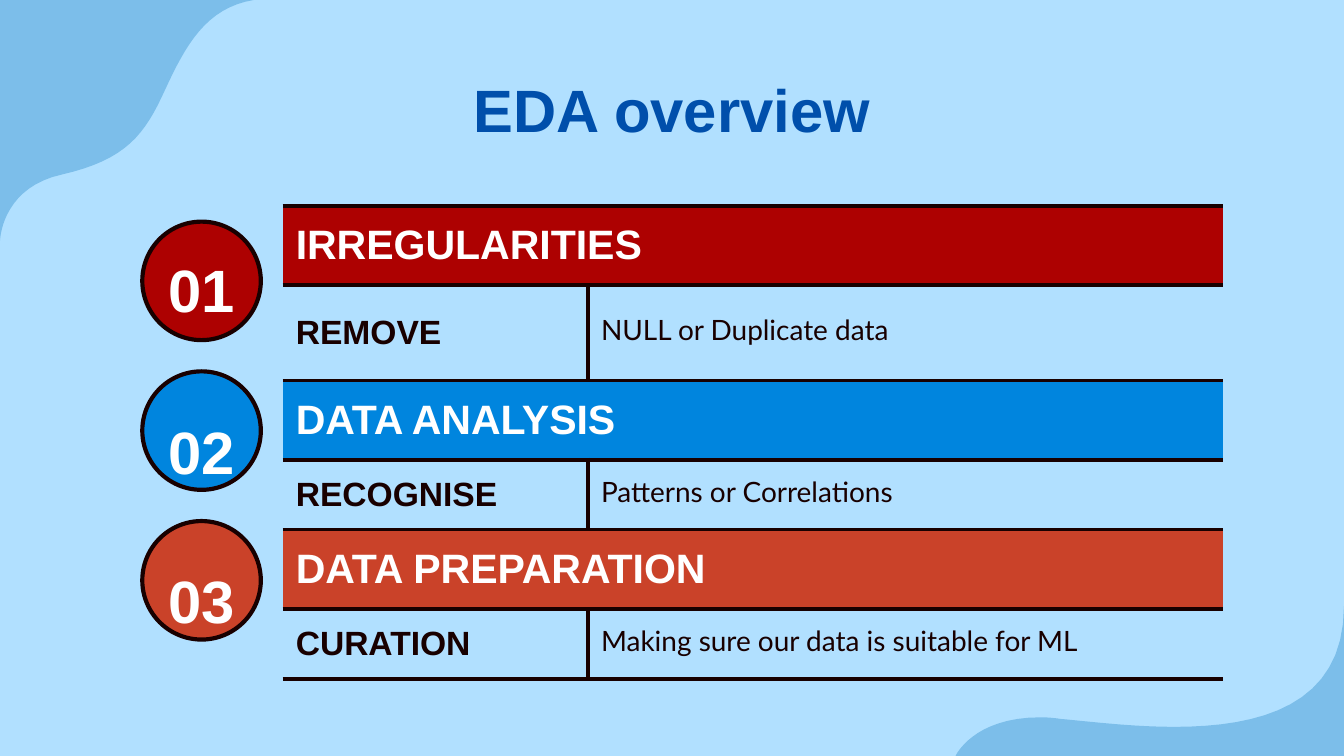
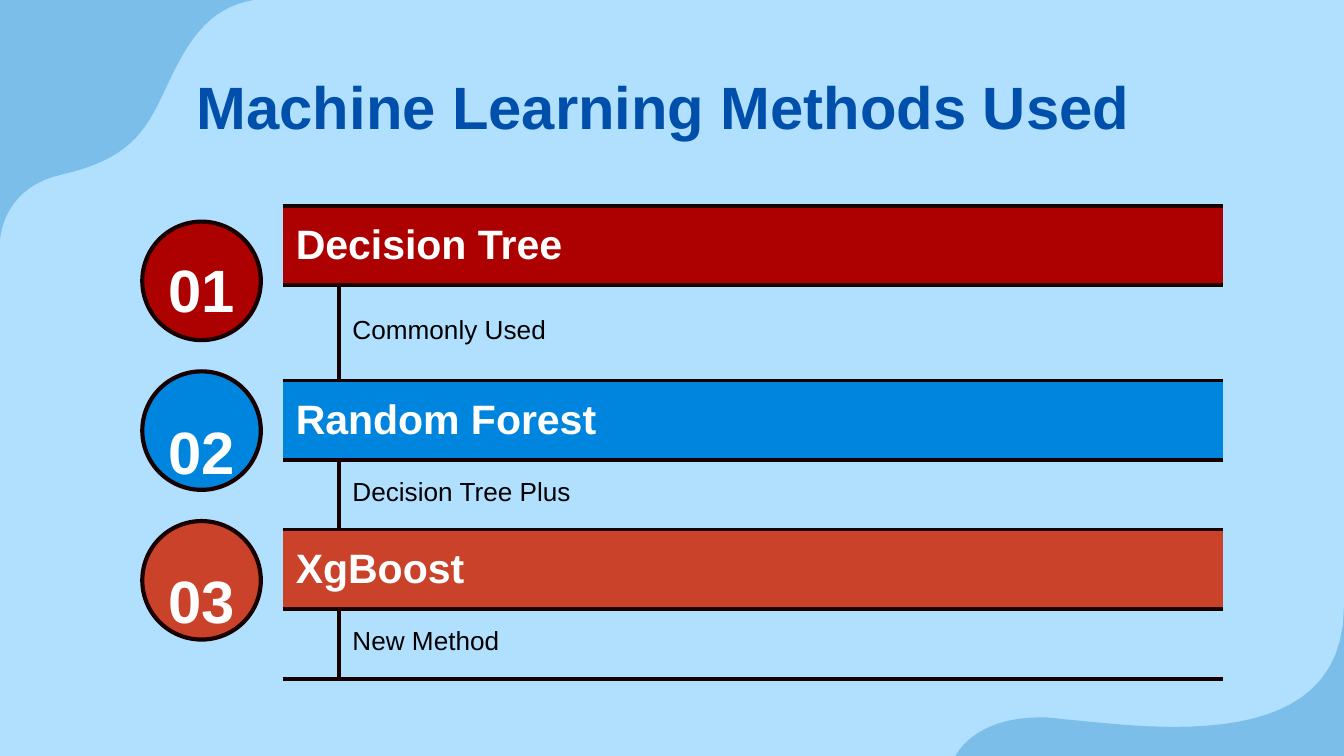
from lxml.etree import SubElement
from pptx import Presentation
from pptx.dml.color import RGBColor
from pptx.enum.shapes import MSO_SHAPE
from pptx.enum.text import MSO_ANCHOR, MSO_AUTO_SIZE, PP_ALIGN
from pptx.oxml.ns import qn
from pptx.util import Cm, Pt

HUES = {
    "sky": "B1E0FF",
    "wave": "7CBEEA",
    "title": "004FAB",
    "ink": "180000",
    "black": "000000",
    "white": "FFFFFF",
    "red": "AD0101",
    "blue": "0085DE",
    "rust": "CA4229",
}
BANDS = ["red", "blue", "rust"]
ROWS = [1.5, 1.8, 1.5, 1.32, 1.5, 1.32]
WIDTH, HEIGHT = 25.4, 14.29
EDGE = 2.25
NO_STYLE = "{2D5ABB26-0587-4C30-8999-92F81FD0307C}"

TOP_WAVE = [
    (0, 4.6),
    [(0, 4.37), (0.13, 3.53), (1.17, 3.3)],
    [(2.39, 3.02), (2.74, 2.54), (3.12, 1.7)],
    [(3.51, 0.86), (3.89, 0.15), (4.8, 0)],
    [(0, 0)],
]
LOW_WAVE = [
    (WIDTH, 11.46),
    [(WIDTH, 13.36), (23.77, 13.74), (22.2, 13.74)],
    [(21.39, 13.74), (20.6, 13.64), (20.04, 13.59)],
    [(19.91, 13.57), (19.79, 13.56), (19.66, 13.56)],
    [(18.39, 13.56), (18.06, HEIGHT), (18.06, HEIGHT)],
    [(WIDTH, HEIGHT)],
]


def hue(name):
    return RGBColor.from_string(HUES[name])


def paint(shape, name):
    shape.shadow.inherit = False
    shape.fill.solid()
    shape.fill.fore_color.rgb = hue(name)


def style(para, size, name, bold=True, face="Arial"):
    font = para.font
    font.name, font.size, font.bold = face, Pt(size), bold
    font.color.rgb = hue(name)


def curve(a, b, c, d, steps=16):
    for n in range(1, steps + 1):
        t = n / steps
        u = 1 - t
        yield tuple(
            u**3 * p + 3 * u * u * t * q + 3 * u * t * t * r + t**3 * s
            for p, q, r, s in zip(a, b, c, d)
        )


def add_wave(slide, parts):
    points = [parts[0]]
    for part in parts[1:]:
        points += curve(points[-1], *part) if len(part) == 3 else part
    ends = [(Cm(x), Cm(y)) for x, y in points]
    build = slide.shapes.build_freeform(*ends[0])
    build.add_line_segments(ends[1:], close=True)
    wave = build.convert_to_shape()
    paint(wave, "wave")
    wave.line.fill.background()


def add_title(slide, text, top):
    title = slide.shapes.title
    title.left, title.top = Cm(2), Cm(top)
    title.width, title.height = Cm(21.4), Cm(1.65)
    frame = title.text_frame
    frame.text = text
    frame.word_wrap = True
    frame.auto_size = MSO_AUTO_SIZE.NONE
    frame.vertical_anchor = MSO_ANCHOR.TOP
    frame.margin_left = frame.margin_right = Cm(0.25)
    frame.margin_top = frame.margin_bottom = Cm(0.25)
    para = frame.paragraphs[0]
    para.alignment = PP_ALIGN.CENTER
    style(para, 32, "title")


def add_disc(slide, index, name):
    disc = slide.shapes.add_shape(
        MSO_SHAPE.OVAL, Cm(2.69), Cm(4.19 + 2.83 * index), Cm(2.24), Cm(2.24)
    )
    paint(disc, name)
    disc.line.color.rgb = hue("ink")
    disc.line.width = Pt(EDGE)


def edge(cell, sides):
    props = cell._tc.get_or_add_tcPr()
    for side in sides:
        line = SubElement(props, qn(f"a:ln{side}"), w=str(Pt(EDGE)))
        fill = SubElement(line, qn("a:solidFill"))
        SubElement(fill, qn("a:srgbClr"), val=HUES["ink"])


def write(cell, text, size, name, top=0.25, **kind):
    cell.vertical_anchor = MSO_ANCHOR.MIDDLE
    cell.margin_left = cell.margin_right = cell.margin_bottom = Cm(0.25)
    cell.margin_top = Cm(top)
    para = cell.text_frame.paragraphs[0]
    para.text = text
    style(para, size, name, **kind)
    return para


def add_grid(slide, cols, items, note):
    frame = slide.shapes.add_table(
        len(ROWS), len(cols), Cm(2.29), Cm(3.89), Cm(sum(cols)), Cm(sum(ROWS))
    )
    grid = frame.table
    grid.first_row = grid.horz_banding = False
    grid._tbl.tblPr.find(qn("a:tableStyleId")).text = NO_STYLE
    for col, width in zip(grid.columns, cols):
        col.width = Cm(width)
    for row, height in zip(grid.rows, ROWS):
        row.height = Cm(height)

    for i, (band, (head, label, text)) in enumerate(zip(BANDS, items)):
        top, low = 2 * i, 2 * i + 1
        for col in (1, 2):
            edge(grid.cell(top, col), "TB")
        edge(grid.cell(low, 1), "RTB")
        edge(grid.cell(low, 2), "LTB")
        for cell in (c for r in (top, low) for c in grid.rows[r].cells):
            cell.fill.background()
        for col in (1, 2):
            fill = grid.cell(top, col).fill
            fill.solid()
            fill.fore_color.rgb = hue(band)
        grid.cell(top, 0).merge(grid.cell(low, 0))
        grid.cell(top, 1).merge(grid.cell(top, 2))

        mark = write(grid.cell(top, 0), f"{i + 1:02}", 32, "white", top=0.2)
        mark.alignment = PP_ALIGN.CENTER
        write(grid.cell(top, 1), head, 22, "white")
        if label:
            write(grid.cell(low, 1), label, 18, "ink")
        write(grid.cell(low, 2), text, top=0.15, bold=False, **note)


def add_page(deck, title, top, cols, items, note):
    slide = deck.slides.add_slide(deck.slide_layouts[5])
    back = slide.background.fill
    back.solid()
    back.fore_color.rgb = hue("sky")
    add_wave(slide, TOP_WAVE)
    add_wave(slide, LOW_WAVE)
    for i, band in enumerate(BANDS):
        add_disc(slide, i, band)
    add_grid(slide, cols, items, note)
    add_title(slide, title, top)


def main():
    deck = Presentation()
    deck.slide_width, deck.slide_height = Cm(WIDTH), Cm(HEIGHT)
    add_page(
        deck, "EDA overview", 1.12, [3.05, 5.77, 12.01],
        [
            ("IRREGULARITIES", "REMOVE", "NULL or Duplicate data"),
            ("DATA ANALYSIS", "RECOGNISE", "Patterns or Correlations"),
            ("DATA PREPARATION", "CURATION",
             "Making sure our data is suitable for ML"),
        ],
        {"size": 15, "name": "ink", "face": "Lato"},
    )
    add_page(
        deck, "Machine Learning Methods Used ", 1.07, [3.05, 1.07, 16.71],
        [
            ("Decision Tree", "", "Commonly Used"),
            ("Random Forest", "", "Decision Tree Plus"),
            ("XgBoost", "", "New Method"),
        ],
        {"size": 14, "name": "black"},
    )
    deck.save("out.pptx")


if __name__ == "__main__":
    main()
